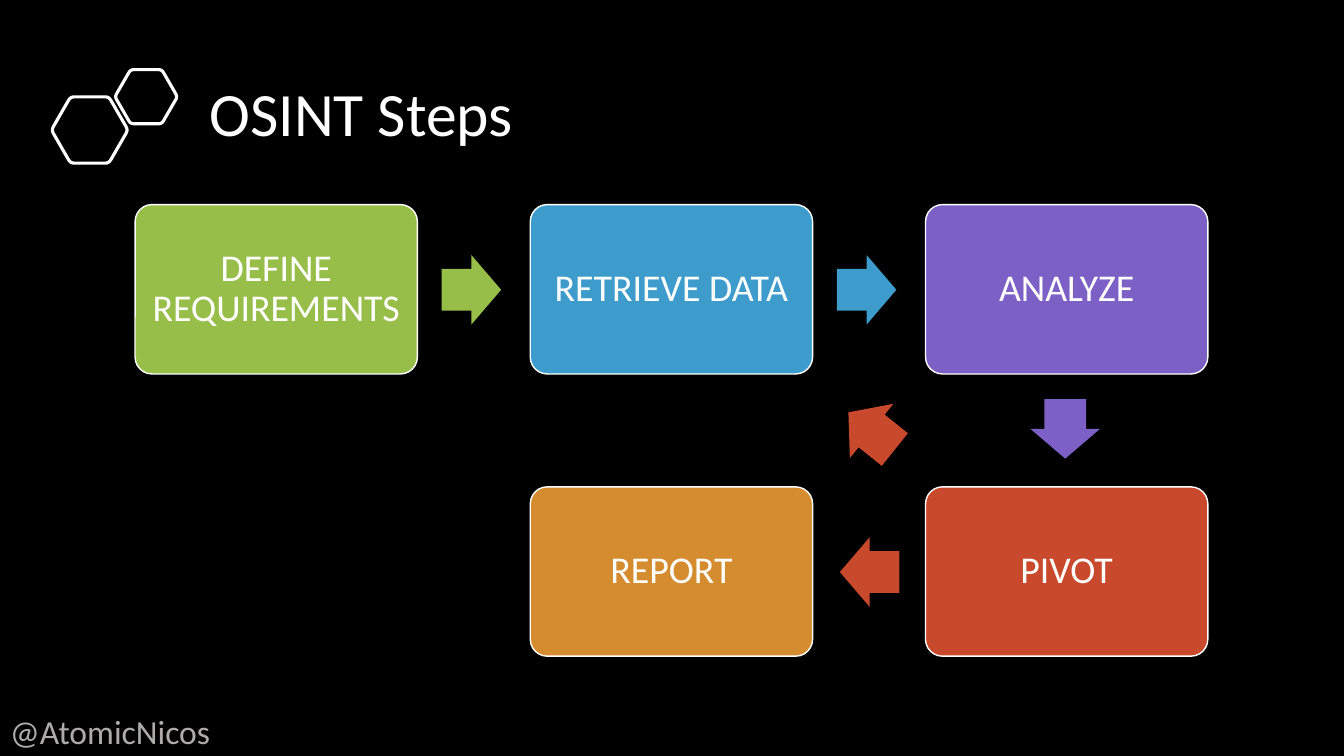
from dataclasses import dataclass
from math import cos, radians, sin

from pptx import Presentation
from pptx.dml.color import RGBColor
from pptx.enum.shapes import MSO_SHAPE
from pptx.enum.text import MSO_ANCHOR, PP_ALIGN
from pptx.shapes.autoshape import Shape
from pptx.slide import Slide
from pptx.text.text import TextFrame
from pptx.util import Emu, Pt

PX = 9144  # 100 px to the inch
COLORS = {
    "black": "000000", "white": "FFFFFF", "gray": "AFABAB",
    "green": "97BE49", "blue": "3D9CCC", "purple": "7C60C6",
    "red": "C9492C", "orange": "D58C2E",
}
CARD_WIDTH, CARD_HEIGHT, CARD_MARGIN = 280, 168, 6
ARROW_WIDTH, ARROW_HEIGHT = 59, 69
GRID_LEFT, GRID_TOP = 134, 203
COLUMN_STEP, ROW_STEP = 392, 280


@dataclass
class Step:
    text: str
    color: str
    column: int
    row: int


@dataclass
class Arrow:
    color: str
    left: int
    top: int
    rotation: float = 0


@dataclass
class Hexagon:
    center_x: int
    center_y: int
    radius: int


STEPS = [
    Step("DEFINE REQUIREMENTS", "green", 0, 0),
    Step("RETRIEVE DATA", "blue", 1, 0),
    Step("ANALYZE", "purple", 2, 0),
    Step("PIVOT", "red", 2, 1),
    Step("REPORT", "orange", 1, 1),
]
ARROWS = [
    Arrow("green", 438, 253),
    Arrow("blue", 830, 253),
    Arrow("purple", 1027, 391, 90),
    Arrow("red", 833, 533, 180),
    Arrow("red", 835, 393, 218.7),
]
HEXAGONS = [Hexagon(89, 129, 38), Hexagon(145, 96, 31)]


def px(value: float) -> Emu:
    return Emu(round(value * PX))


def rgb(name: str) -> RGBColor:
    return RGBColor.from_string(COLORS[name])


def set_text(frame: TextFrame, text: str, size: int, color: str,
             frame_format: dict, paragraph_format: dict) -> None:
    frame.text = text
    paragraph = frame.paragraphs[0]
    for target, values in ((frame, frame_format), (paragraph, paragraph_format)):
        for name, value in values.items():
            setattr(target, name, value)
    font = paragraph.runs[0].font
    for name, value in {"name": "Calibri", "size": Pt(size)}.items():
        setattr(font, name, value)
    font.color.rgb = rgb(color)


def set_outline(shape: Shape, width: float) -> None:
    shape.shadow.inherit = False
    shape.line.color.rgb = rgb("white")
    shape.line.width = Pt(width)


def draw_hexagon(slide: Slide, hexagon: Hexagon) -> None:
    corners = [(hexagon.center_x + hexagon.radius * cos(radians(angle)),
                hexagon.center_y + hexagon.radius * sin(radians(angle)))
               for angle in range(0, 360, 60)]
    points = []
    for index, corner in enumerate(corners):
        before, after = corners[index - 1], corners[(index + 1) % 6]
        # Quadratic curve rounding each corner over a tenth of its edges
        for t in (0, 0.25, 0.5, 0.75, 1):
            points.append(tuple(
                px(c + 0.1 * ((1 - t) ** 2 * (b - c) + t ** 2 * (a - c)))
                for b, c, a in zip(before, corner, after)))
    builder = slide.shapes.build_freeform(*points[0])
    builder.add_line_segments(points[1:], close=True)
    shape = builder.convert_to_shape()
    shape.fill.background()
    set_outline(shape, 2.25)


def draw_step(slide: Slide, step: Step) -> None:
    shape = slide.shapes.add_shape(
        MSO_SHAPE.ROUNDED_RECTANGLE,
        px(GRID_LEFT + step.column * COLUMN_STEP),
        px(GRID_TOP + step.row * ROW_STEP), px(CARD_WIDTH), px(CARD_HEIGHT))
    shape.adjustments[0] = 0.1
    shape.fill.solid()
    shape.fill.fore_color.rgb = rgb(step.color)
    set_outline(shape, 1)
    margins = {f"margin_{side}": px(CARD_MARGIN)
               for side in ("left", "right", "top", "bottom")}
    set_text(shape.text_frame, step.text, 27, "white",
             {"word_wrap": True, "vertical_anchor": MSO_ANCHOR.MIDDLE, **margins},
             {"alignment": PP_ALIGN.CENTER, "line_spacing": 0.9})


def draw_arrow(slide: Slide, arrow: Arrow) -> None:
    shape = slide.shapes.add_shape(
        MSO_SHAPE.RIGHT_ARROW, px(arrow.left), px(arrow.top),
        px(ARROW_WIDTH), px(ARROW_HEIGHT))
    shape.adjustments[0], shape.adjustments[1] = 0.6, 0.5
    shape.rotation = arrow.rotation
    shape.shadow.inherit = False
    shape.fill.solid()
    shape.fill.fore_color.rgb = rgb(arrow.color)
    shape.line.fill.background()


def main() -> None:
    presentation = Presentation()
    presentation.slide_width, presentation.slide_height = px(1333), px(750)
    slide = presentation.slides.add_slide(presentation.slide_layouts[5])
    slide.background.fill.solid()
    slide.background.fill.fore_color.rgb = rgb("black")

    # Title
    title = slide.shapes.title
    bounds = {"left": 198, "top": 57, "width": 1081, "height": 117}
    for name, value in bounds.items():
        setattr(title, name, px(value))
    set_text(title.text_frame, "OSINT Steps", 44, "white",
             {"vertical_anchor": MSO_ANCHOR.MIDDLE},
             {"alignment": PP_ALIGN.LEFT, "line_spacing": 0.9})

    # Hexagon ornament
    for hexagon in HEXAGONS:
        draw_hexagon(slide, hexagon)

    # Process diagram
    for step in STEPS:
        draw_step(slide, step)
    for arrow in ARROWS:
        draw_arrow(slide, arrow)

    # Author handle
    handle = slide.shapes.add_textbox(px(0), px(700), px(230), px(50))
    set_text(handle.text_frame, "@AtomicNicos", 24, "gray",
             {"word_wrap": True}, {"alignment": PP_ALIGN.LEFT})

    presentation.save("out.pptx")


if __name__ == "__main__":
    main()
